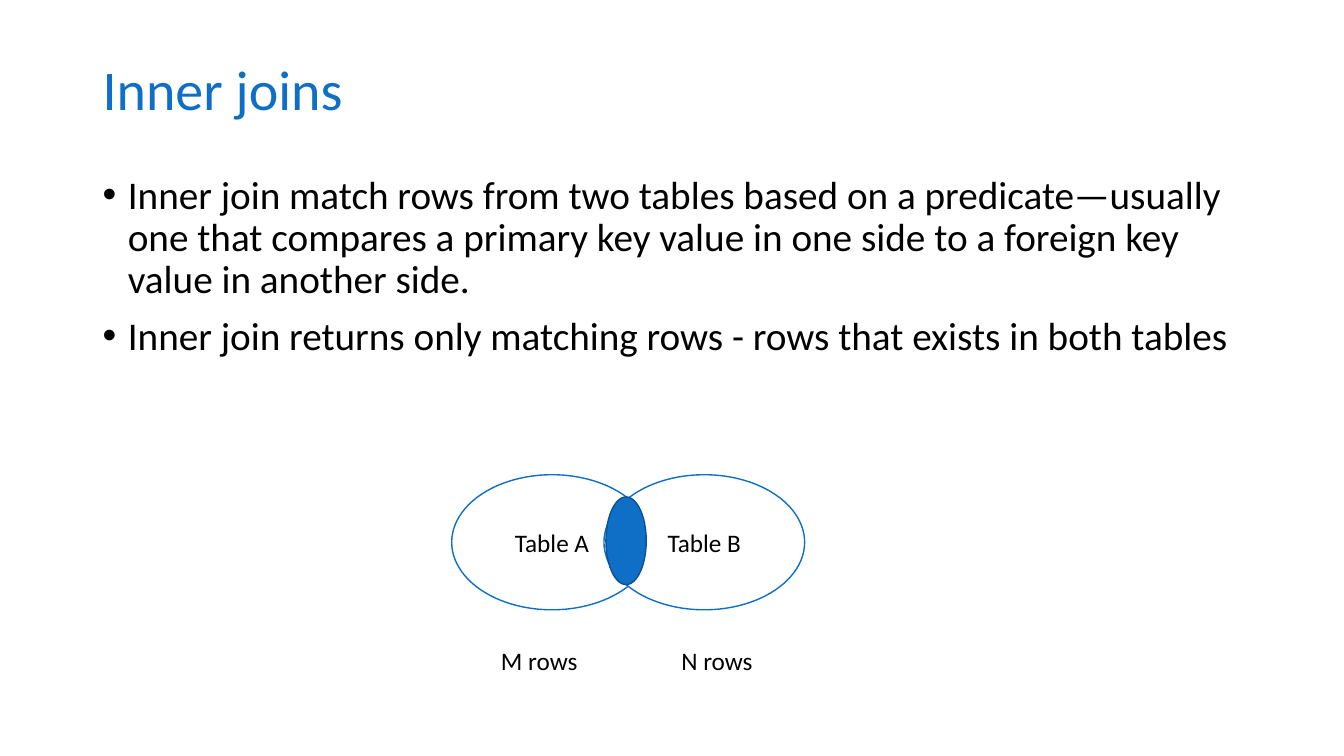
from dataclasses import dataclass

import pptx
import pptx.dml.color
import pptx.enum.shapes
import pptx.enum.text
import pptx.oxml.ns
import pptx.util
from lxml import etree

Inches = pptx.util.Inches
Pt = pptx.util.Pt
ANCHOR = pptx.enum.text.MSO_ANCHOR


@dataclass(frozen=True)
class Theme:
    font: str = "Calibri"
    accent: str = "0F6FC6"
    accent_dark: str = "0B5292"
    text: str = "000000"
    paper: str = "FFFFFF"
    title_size: int = 40
    body_size: int = 28
    label_size: int = 18
    line_width: int = 1


THEME = Theme()


def rgb(value):
    return pptx.dml.color.RGBColor.from_string(value)


def style(paragraph, size, color=THEME.text):
    paragraph.font.name = THEME.font
    paragraph.font.size = Pt(size)
    paragraph.font.color.rgb = rgb(color)


def add_bullet(paragraph, indent):
    props = paragraph._p.get_or_add_pPr()
    props.set("marL", str(indent))
    props.set("indent", str(-indent))
    qn = pptx.oxml.ns.qn
    etree.SubElement(props, qn("a:buFont")).set("typeface", "Arial")
    etree.SubElement(props, qn("a:buChar")).set("char", "•")


def add_text_frame(slide, left, top, width, height, wrap=True):
    box = slide.shapes.add_textbox(
        Inches(left), Inches(top), Inches(width), Inches(height))
    box.text_frame.word_wrap = wrap
    return box.text_frame


def add_ellipse(slide, left, top, width, height, fill, line, label=""):
    ellipse = slide.shapes.add_shape(
        pptx.enum.shapes.MSO_SHAPE.OVAL,
        Inches(left), Inches(top), Inches(width), Inches(height))
    ellipse.shadow.inherit = False
    ellipse.fill.solid()
    ellipse.fill.fore_color.rgb = rgb(fill)
    ellipse.line.color.rgb = rgb(line)
    ellipse.line.width = Pt(THEME.line_width)
    if label:
        frame = ellipse.text_frame
        frame.vertical_anchor = ANCHOR.MIDDLE
        caption = frame.paragraphs[0]
        caption.text = label
        caption.alignment = pptx.enum.text.PP_ALIGN.CENTER
        style(caption, THEME.label_size)


def build_title(slide, left, top, width, height, heading):
    frame = add_text_frame(slide, left, top, width, height)
    frame.vertical_anchor = ANCHOR.MIDDLE
    title = frame.paragraphs[0]
    title.text = heading
    title.line_spacing = 0.9
    style(title, THEME.title_size, THEME.accent)


def build_bullets(slide, left, top, width, height, statements):
    frame = add_text_frame(slide, left, top, width, height)
    for index, statement in enumerate(statements):
        bullet = frame.add_paragraph() if index else frame.paragraphs[0]
        bullet.text = statement
        bullet.line_spacing = 0.9
        bullet.space_before = Pt(10)
        style(bullet, THEME.body_size)
        add_bullet(bullet, Inches(0.25))


def build_venn(slide, left, top, width, height):
    set_width, set_height = 1.99, 1.34
    # Two overlapping sets, each with its row count below
    tables = (("Table A", 0, "M rows", 0.39),
              ("Table B", width - set_width, "N rows", 2.18))
    for table, offset, count, count_offset in tables:
        add_ellipse(slide, left + offset, top, set_width, set_height,
                    THEME.paper, THEME.accent, table)
        frame = add_text_frame(slide, left + count_offset, top + height - 0.4,
                               0.98, 0.4, wrap=False)
        frame.auto_size = pptx.enum.text.MSO_AUTO_SIZE.SHAPE_TO_FIT_TEXT
        frame.paragraphs[0].text = count
        style(frame.paragraphs[0], THEME.label_size)
    # Matching rows
    add_ellipse(slide, left + 1.53, top + 0.22, 0.4, 0.87,
                THEME.accent, THEME.accent_dark)


def main():
    deck = pptx.Presentation()
    deck.slide_width, deck.slide_height = Inches(13.33), Inches(7.5)
    slide = deck.slides.add_slide(deck.slide_layouts[6])
    build_title(slide, 0.92, 0.4, 11.5, 1.04, "Inner joins")
    build_bullets(slide, 0.92, 1.69, 11.5, 5.06, (
        "Inner join match rows from two tables based on a predicate—usually "
        "one that compares a primary key value in one side to a foreign key "
        "value in another side.",
        "Inner join returns only matching rows - rows that exists in both "
        "tables",
    ))
    build_venn(slide, 4.48, 4.71, 3.5, 2.04)
    deck.save("out.pptx")


if __name__ == "__main__":
    main()
